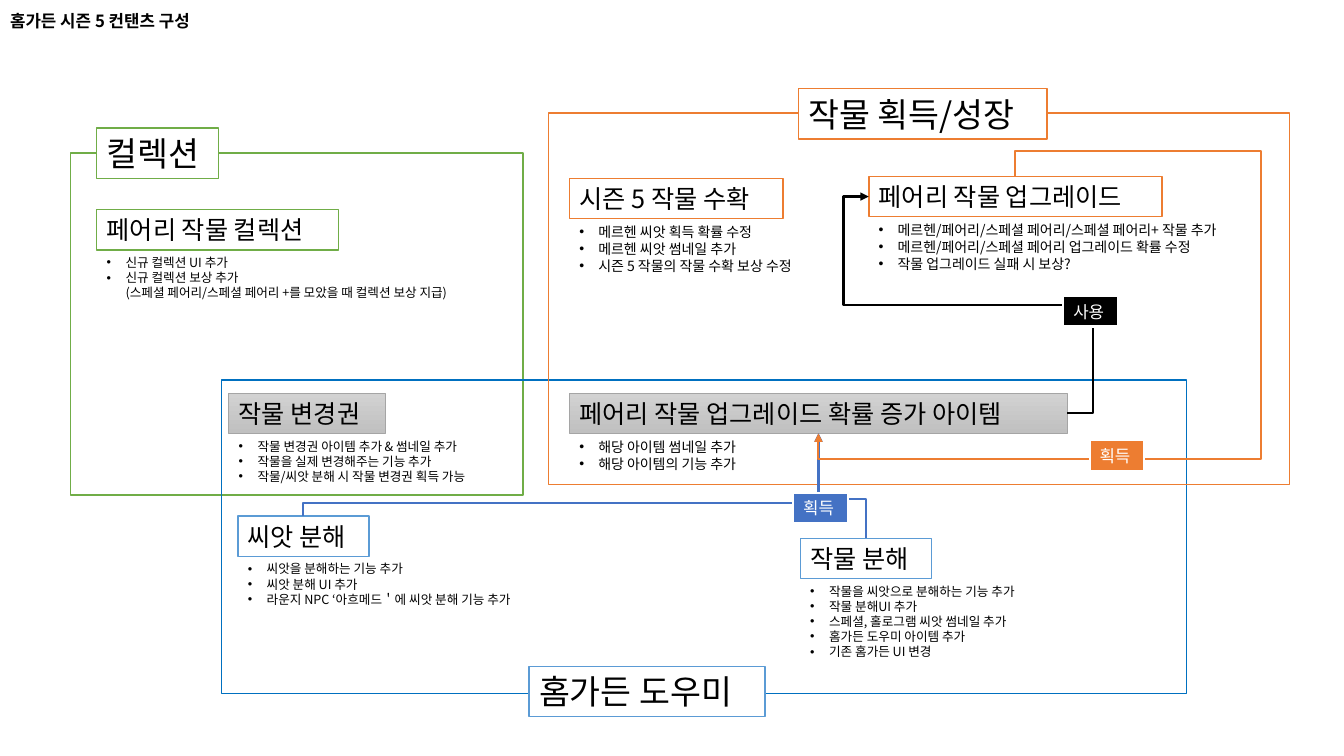
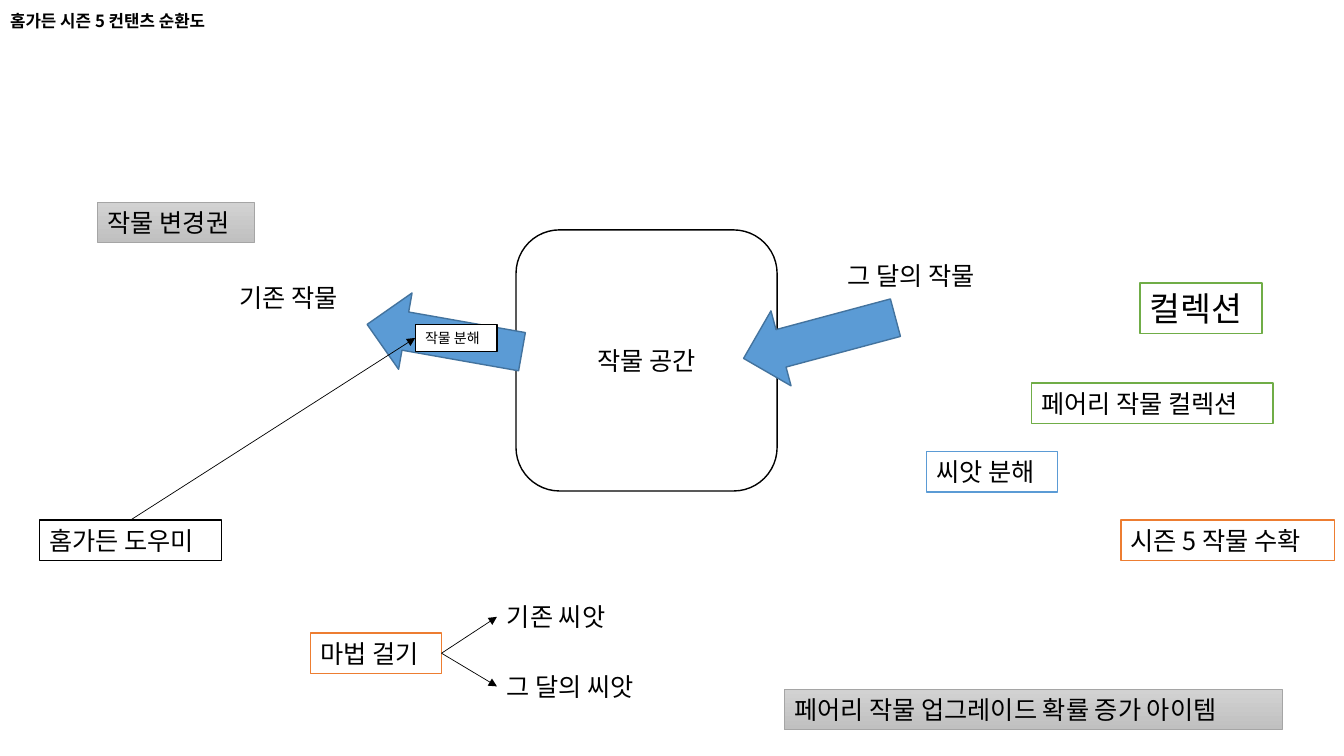
from copy import deepcopy

from lxml import etree
from pptx import Presentation
from pptx.dml.color import RGBColor
from pptx.enum.shapes import MSO_CONNECTOR, MSO_SHAPE
from pptx.enum.text import MSO_ANCHOR, MSO_AUTO_SIZE, PP_ALIGN
from pptx.oxml.ns import qn
from pptx.util import Pt

RECT = MSO_SHAPE.RECTANGLE
ROUND = MSO_SHAPE.ROUNDED_RECTANGLE
ARROW = MSO_SHAPE.LEFT_ARROW
PLAIN, ELBOW = MSO_CONNECTOR.STRAIGHT, MSO_CONNECTOR.ELBOW
LEFT, CENTER = PP_ALIGN.LEFT, PP_ALIGN.CENTER
TOP, MIDDLE = MSO_ANCHOR.TOP, MSO_ANCHOR.MIDDLE
GROW, FIXED = MSO_AUTO_SIZE.SHAPE_TO_FIT_TEXT, MSO_AUTO_SIZE.NONE
UP, WEST, DOWN, EAST = range(4)


class Theme:
    face = "Noto Sans CJK KR"
    black = RGBColor.from_string("000000")
    white = RGBColor.from_string("FFFFFF")
    orange = RGBColor.from_string("ED7D31")
    sky = RGBColor.from_string("5B9BD5")
    steel = RGBColor.from_string("43739E")
    blue = RGBColor.from_string("4472C4")
    deep = RGBColor.from_string("0070C0")
    green = RGBColor.from_string("70AD47")
    gray = RGBColor.from_string("A5A5A5")
    light = RGBColor.from_string("D2D2D2")
    dark = RGBColor.from_string("C0C0C0")
    head, label, tag, note, small = 24, 18, 12, 10, 9


def put(page, kind, at, lines=(), size=Theme.label, edge=None, fill=None,
        ink=Theme.black, weight=1, dots=False, align=LEFT):
    x, y, w = at[:3]
    h = at[3] if len(at) > 3 else 7.2 + 1.2 * size * sum(len(t.split("\n")) for t in lines)
    spot = [Pt(v) for v in (x, y, w, h)]
    if kind == "title":
        shape = page.shapes.title
        shape.left, shape.top, shape.width, shape.height = spot
    elif kind == "text":
        shape = page.shapes.add_textbox(*spot)
    else:
        shape = page.shapes.add_shape(kind, *spot)
        shape.shadow.inherit = False
        shape.line.color.rgb = edge
        shape.line.width = Pt(weight)
        if edge == Theme.gray:
            shape.fill.gradient()
            shape.fill.gradient_angle = 270
            for stop, shade in zip(shape.fill.gradient_stops, (Theme.light, Theme.dark)):
                stop.color.rgb = shade
        elif fill is None:
            shape.fill.background()
        else:
            shape.fill.solid()
            shape.fill.fore_color.rgb = fill
    frame = shape.text_frame
    fixed = kind == "title" or len(at) > 3
    frame.word_wrap = fixed
    frame.auto_size = FIXED if fixed else GROW
    frame.vertical_anchor = MIDDLE if fixed else TOP
    for i, line in enumerate(lines):
        para = frame.add_paragraph() if i else frame.paragraphs[0]
        para.alignment = align
        if dots:
            props = para._p.get_or_add_pPr()
            props.set("marL", str(Pt(13.5)))
            props.set("indent", str(-Pt(13.5)))
            etree.SubElement(props, qn("a:buFont"), typeface="Arial")
            etree.SubElement(props, qn("a:buChar"), char="•")
        for j, part in enumerate(line.split("\n")):
            if j:
                para.add_line_break()
                para._p[-1].append(deepcopy(run._r.rPr))
            run = para.add_run()
            run.text = part
            run.font.size = Pt(size)
            run.font.name = Theme.face
            run.font.color.rgb = ink
            run.font.bold = kind == "title"
            etree.SubElement(run._r.rPr, qn("a:ea"), typeface=Theme.face)
    return shape


def link(page, start, out, end, into, color=Theme.black, weight=0.5,
         turn=0, flip="", bends=()):
    line = page.shapes.add_connector(ELBOW if bends else PLAIN, 0, 0, 0, 0)
    line.begin_connect(start, out)
    line.end_connect(end, into)
    props = line._element.spPr
    if turn:
        x, y, w, h = line.left, line.top, line.width, line.height
        line.left, line.top = x + (w - h) // 2, y + (h - w) // 2
        line.width, line.height = h, w
        props.xfrm.set("rot", str(turn * 60000))
        for side in "HV":
            props.xfrm.set("flip" + side, str(int(side in flip)))
    if bends:
        geom = props.find(qn("a:prstGeom"))
        geom.set("prst", f"bentConnector{len(bends) + 2}")
        guide = geom.find(qn("a:avLst"))
        for i, bend in enumerate(bends, 1):
            name = f"adj{i}" if len(bends) > 1 else "adj1"
            etree.SubElement(guide, qn("a:gd"), name=name, fmla=f"val {bend * 1000:.0f}")
    line.line.color.rgb = color
    line.line.width = Pt(weight)
    etree.SubElement(line.line._get_or_add_ln(), qn("a:tailEnd"), type="triangle")
    etree.SubElement(props, qn("a:effectLst"))


LABELS = {
    "upgrade": ("페어리 작물 업그레이드", 209.5, Theme.orange, Theme.label),
    "harvest": ("시즌 5 작물 수확", 152.6, Theme.orange, Theme.label),
    "seed": ("씨앗 분해", 93.6, Theme.sky, Theme.label),
    "crop": ("작물 분해", 93.6, Theme.sky, Theme.label),
    "fairy": ("페어리 작물 컬렉션", 172.8, Theme.green, Theme.label),
    "ticket": ("작물 변경권", 111.6, Theme.gray, Theme.label),
    "item": ("페어리 작물 업그레이드 확률 증가 아이템", 355.7, Theme.gray, Theme.label),
    "album": ("컬렉션", 87.1, Theme.green, Theme.head),
    "helper": ("홈가든 도우미", 168.5, Theme.sky, Theme.head),
    "growth": ("작물 획득/성장", 177.8, Theme.orange, Theme.head),
    "aide": ("홈가든 도우미", 130.3, Theme.black, Theme.label),
    "magic": ("마법 걸기", 93.6, Theme.orange, Theme.label),
    "split": ("작물 분해", 58.3, Theme.black, Theme.note),
}
TITLES = ["홈가든 시즌 5 컨탠츠 구성", "홈가든 시즌 5 컨탠츠 순환도"]
PLACES = [
    {"upgrade": (620.6, 126), "harvest": (406.8, 127.4), "seed": (169.9, 368.6),
     "crop": (571.7, 384.5), "fairy": (69.1, 149.8), "ticket": (163.4, 280.8),
     "item": (406.8, 280.8), "album": (69.1, 91.4), "helper": (378, 475.9),
     "growth": (570.2, 63.4)},
    {"magic": (221.8, 452.2), "harvest": (800.6, 371.5), "seed": (661.7, 322.6),
     "fairy": (736.6, 273.6), "ticket": (69.8, 144.7), "item": (560.2, 492.5),
     "album": (814.3, 202.3), "aide": (28.1, 371.5), "split": (296.6, 231.8)},
]
NOTES = [
    ("fairy", 295.9, Theme.small, [
        "신규 컬렉션 UI 추가",
        "신규 컬렉션 보상 추가\n(스페셜 페어리/스페셜 페어리 +를 모았을 때 컬렉션 보상 지급)"]),
    ("ticket", 195.8, Theme.small, [
        "작물 변경권 아이템 추가 & 썸네일 추가",
        "작물을 실제 변경해주는 기능 추가",
        "작물/씨앗 분해 시 작물 변경권 획득 가능"]),
    ("crop", 177.1, Theme.small, [
        "작물을 씨앗으로 분해하는 기능 추가",
        "작물 분해UI 추가",
        "스페셜, 홀로그램 씨앗 썸네일 추가",
        "홈가든 도우미 아이템 추가",
        "기존 홈가든 UI 변경"]),
    ("seed", 221.8, Theme.small, [
        "씨앗을 분해하는 기능 추가",
        "씨앗 분해 UI 추가",
        "라운지 NPC ‘아흐메드＇에 씨앗 분해 기능 추가"]),
    ("harvest", 186.5, Theme.note, [
        "메르헨 씨앗 획득 확률 수정",
        "메르헨 씨앗 썸네일 추가",
        "시즌 5 작물의 작물 수확 보상 수정"]),
    ("upgrade", 283.7, Theme.note, [
        "메르헨/페어리/스페셜 페어리/스페셜 페어리+ 작물 추가",
        "메르헨/페어리/스페셜 페어리 업그레이드 확률 수정",
        "작물 업그레이드 실패 시 보상?"]),
    ("item", 139.7, Theme.note, [
        "해당 아이템 썸네일 추가",
        "해당 아이템의 기능 추가"]),
]
FRAMES = [
    ((50.4, 109.4, 323.3, 244.1), Theme.green),
    ((158.4, 271.4, 689, 223.9), Theme.deep),
    ((391.7, 80.6, 529.2, 265.7), Theme.orange),
]
LINKS = [
    ("seed", UP, "item", DOWN, Theme.blue, 1.5, 90, "HV", [15.7]),
    ("crop", UP, "item", DOWN, Theme.blue, 1.5, 270, "V", [37]),
    ("item", EAST, "upgrade", WEST, Theme.black, 1.5, 0, "", [-12.7, 50, 112.7]),
    ("upgrade", UP, "item", DOWN, Theme.orange, 1.5, 270, "HV", [-9.8, -124.5, 109.8]),
]
TAGS = [
    (566.6, 352.1, "획득", Theme.blue),
    (778.3, 314.6, "획득", Theme.orange),
    (759.6, 211.7, "사용", Theme.black),
]
WORDS = [
    (164.2, 198, 93.6, "기존 작물"),
    (598.3, 182.2, 118.1, "그 달의 작물"),
    (355, 426.2, 93.6, "기존 씨앗"),
    (355, 475.9, 118.1, "그 달의 씨앗"),
]

deck = Presentation()
deck.slide_width, deck.slide_height = Pt(960), Pt(540)
pages = []
for title in TITLES:
    page = deck.slides.add_slide(deck.slide_layouts[5])
    put(page, "title", (0, 0, 960, 31), [title], Theme.tag)
    page.shapes.title.text_frame.paragraphs[0].line_spacing = 0.9
    pages.append(page)
plan, cycle = pages

for at, edge in FRAMES:
    put(plan, RECT, at, edge=edge)

put(cycle, ROUND, (368.6, 164.2, 186.5, 186.5), ["작물 공간"],
    edge=Theme.black, fill=Theme.white, align=CENTER)
for x, angle in ((261.4, 10), (529.2, 345)):
    arrow = put(cycle, ARROW, (x, 213.8, 112.3, 55.4), edge=Theme.steel, fill=Theme.sky)
    arrow.rotation = angle

boxes = []
for page, places in zip(pages, PLACES):
    group = {}
    for name, (x, y) in places.items():
        text, width, edge, size = LABELS[name]
        group[name] = put(page, RECT, (x, y, width), [text], size, edge, Theme.white,
                          weight=0.5 if edge == Theme.gray else 1)
    boxes.append(group)
parts, steps = boxes

for name, width, size, lines in NOTES:
    head = parts[name]
    put(plan, "text", (head.left.pt, head.top.pt + head.height.pt, width),
        lines, size, dots=True)
for start, out, end, into, *style in LINKS:
    link(plan, parts[start], out, parts[end], into, *style)
for x, y, text, fill in TAGS:
    put(plan, RECT, (x, y, 38.9), [text], Theme.tag, Theme.white, fill, Theme.white, 1.5)

words = [put(cycle, "text", (x, y, w), [text]) for x, y, w, text in WORDS]
link(cycle, steps["aide"], UP, steps["split"], WEST)
for word in words[2:]:
    link(cycle, steps["magic"], EAST, word, WEST)

deck.save("out.pptx")
